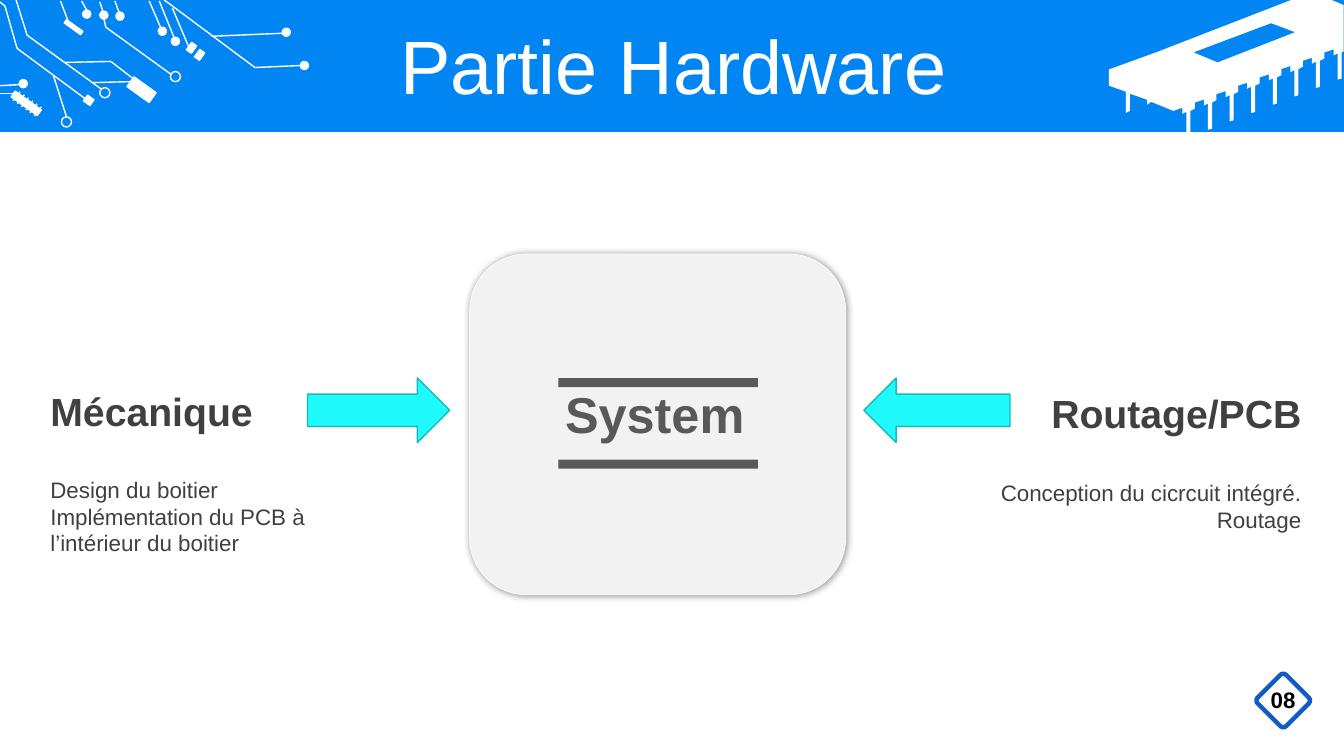
from dataclasses import dataclass

import pptx
import pptx.dml.color
import pptx.enum.shapes
import pptx.enum.text
import pptx.oxml
import pptx.oxml.ns
import pptx.util
from lxml import etree

Shape = pptx.enum.shapes.MSO_SHAPE
Align = pptx.enum.text.PP_ALIGN
Anchor = pptx.enum.text.MSO_ANCHOR
Point = tuple[float, float]

# Square grid: ten columns or rows to the inch
CELL = pptx.util.Inches(0.1)
COLUMNS, ROWS = 133.33, 75
CIRCUIT_TILT = 35.7


@dataclass(frozen=True)
class Theme:
    font: str = "Arial"
    white: str = "FFFFFF"
    banner: str = "0085F2"
    panel: str = "F2F2F2"
    system: str = "595959"
    body: str = "404040"
    arrow: str = "1FFBFD"
    arrow_edge: str = "17BABB"
    badge: str = "125AC4"
    number: str = "000000"
    title_size: int = 54
    system_size: int = 36
    heading_size: int = 28
    text_size: int = 16


THEME = Theme()


@dataclass(frozen=True)
class Box:
    """Left, top, width and height in grid cells."""
    left: float
    top: float
    width: float
    height: float

    def emu(self) -> list[int]:
        return [round(n * CELL) for n in (self.left, self.top, self.width, self.height)]


@dataclass(frozen=True)
class Style:
    size: int
    color: str
    bold: bool = False
    align: Align = Align.CENTER
    anchor: Anchor = Anchor.TOP
    leading: float = 1.0


@dataclass(frozen=True)
class Part:
    """One topic beside the system: heading, list and arrow."""
    heading: str
    heading_box: Box
    details: str
    details_box: Box
    align: Align
    arrow: Shape
    arrow_box: Box


def rgb(color: str) -> pptx.dml.color.RGBColor:
    return pptx.dml.color.RGBColor.from_string(color)


def paint(shape, fill: str | None, edge: str | None = None, width: float = 1) -> None:
    shape.shadow.inherit = False
    if fill:
        shape.fill.solid()
        shape.fill.fore_color.rgb = rgb(fill)
    else:
        shape.fill.background()
    if edge:
        shape.line.color.rgb = rgb(edge)
        shape.line.width = pptx.util.Pt(width)
    else:
        shape.line.fill.background()


def add_block(slide, kind: Shape, box: Box, fill: str | None, edge: str | None = None,
              width: float = 1, tilt: float = 0):
    block = slide.shapes.add_shape(kind, *box.emu())
    paint(block, fill, edge, width)
    block.rotation = tilt
    return block


def add_outline(slide, contours: list[list[Point]], fill: str | None,
                edge: str | None = None) -> None:
    scaled = [[(round(x * CELL), round(y * CELL)) for x, y in c] for c in contours]
    builder = slide.shapes.build_freeform(*scaled[0][0], scale=1.0)
    for index, contour in enumerate(scaled):
        if index:
            builder.move_to(*contour[0])
        builder.add_line_segments(contour[1:], close=fill is not None)
    paint(builder.convert_to_shape(), fill, edge)


def add_trace(slide, points: list[Point]) -> None:
    if len(points) > 2:
        add_outline(slide, [points], None, THEME.white)
        return
    ends = [round(n * CELL) for point in points for n in point]
    trace = slide.shapes.add_connector(pptx.enum.shapes.MSO_CONNECTOR.STRAIGHT, *ends)
    trace.line.color.rgb = rgb(THEME.white)
    trace.line.width = pptx.util.Pt(1)
    etree.SubElement(trace.element.spPr, pptx.oxml.ns.qn("a:effectLst"))


def write(holder, text: str, box: Box, style: Style) -> None:
    holder.left, holder.top, holder.width, holder.height = box.emu()
    frame = holder.text_frame
    frame.text = text
    frame.word_wrap = True
    frame.auto_size = pptx.enum.text.MSO_AUTO_SIZE.NONE
    frame.vertical_anchor = style.anchor
    for paragraph in frame.paragraphs:
        properties = paragraph._p.get_or_add_pPr()
        properties.set("marL", "0")
        properties.set("indent", "0")
        etree.SubElement(properties, pptx.oxml.ns.qn("a:buNone"))
        paragraph.alignment = style.align
        paragraph.line_spacing = style.leading
        paragraph.space_before = pptx.util.Pt(0)
        for run in paragraph.runs:
            run.font.name = THEME.font
            run.font.size = pptx.util.Pt(style.size)
            run.font.bold = style.bold
            run.font.color.rgb = rgb(style.color)


def add_label(slide, text: str, box: Box, style: Style) -> None:
    write(slide.shapes.add_textbox(*box.emu()), text, box, style)


def draw_chip(slide) -> None:
    pin = [(0, 0), (0, 2.6), (-0.4, 2.7), (-0.4, 0.1),
           (-0.8, 0.3), (-0.8, -0.3), (-1.7, 0), (-1.7, 0.6)]
    pins = [(133.1 - 15 * k / 7 + x, 5.2 + 5.8 * k / 7 + y)
            for k in range(8) for x, y in pin][:-1]
    body = [(128.1, 0), (132.1, 0), (133.3, 0.5), (133.3, 5.1), *pins,
            (114.2, 10.1), (113.8, 10.4), (113.8, 9.9), (112.1, 9.3), (112.1, 11),
            (111.7, 11.2), (111.7, 9.1), (110, 8.5), (110, 6.9), (114.7, 5.2)]
    window = [(126.1, 2.3), (118.4, 5.2), (120.8, 6.2), (128.5, 3.2)]
    add_outline(slide, [window, body], THEME.white)


def draw_circuit(slide) -> None:
    components = [Box(12.7, 8.3, 2.7, 1.2), Box(6.3, 2.5, 2, 0.4), Box(8.4, 9.6, 0.8, 0.7),
                  Box(18.7, 4.3, 0.6, 0.9), Box(19.5, 5, 0.6, 0.9), Box(1, 9.9, 3.2, 0.7)]
    pads = [(29.8, 6.1), (28, 2.8), (8.2, 1), (9.9, 1.1), (11.5, 1.2),
            (1.9, 7.9), (17, 3.7), (15.7, 2.7)]
    rings = [(16.9, 7.1), (9.9, 8.7), (6.1, 11.6)]
    traces = [
        [(16.3, 0), (25.3, 6.7), (29.9, 6.5)], [(6, 0.1), (6.8, 2.2)],
        [(8.1, 0.1), (8.6, 1)], [(9.9, 0.2), (10.2, 1.1)], [(11.4, 0.1), (11.8, 1.2)],
        [(14.8, 0.1), (16.1, 3.1)], [(15.8, 0.1), (17.3, 3.8)], [(21, 3.6), (28, 3.3)],
        [(17.1, 0.8), (18.7, 4.6)], [(0, 8.5), (1.9, 8.4)], [(0, 9.3), (1.4, 9.3)],
        [(5.3, 7.5), (6.6, 11.6)], [(9.2, 8.2), (13, 8.1)],
        [(1.6, 0), (2.7, 3.5), (10, 8.8)], [(0, 0.2), (0.5, 0.6), (1.7, 4.8), (8.6, 9.9)],
        [(6.4, 6.2), (11, 6.1), (13.2, 7.8)], [(10.3, 1.8), (10.5, 2.7), (17, 7.4)]]
    comb = [[(1.3 + 0.42 * k, 10 + 0.3 * k), (2 + 0.42 * k, 9.1 + 0.3 * k)] for k in range(6)]
    for box in components:
        add_block(slide, Shape.RECTANGLE, box, THEME.white, THEME.white, tilt=CIRCUIT_TILT)
    for x, y in pads:
        add_block(slide, Shape.OVAL, Box(x, y, 0.8, 0.8), THEME.white, THEME.white)
    for x, y in rings:
        add_block(slide, Shape.OVAL, Box(x, y, 1, 1), None, THEME.white)
    for points in traces + comb:
        add_trace(slide, points)


def draw_system(slide) -> None:
    panel = add_block(slide, Shape.ROUNDED_RECTANGLE, Box(46.6, 25.2, 37.3, 33.8),
                      THEME.panel, THEME.white, 0.5)
    glow = pptx.oxml.parse_xml(
        f'<a:effectLst {pptx.oxml.ns.nsdecls("a")}><a:outerShdw blurRad="63500" dist="0" '
        'algn="ctr" rotWithShape="0"><a:srgbClr val="000000"><a:alpha val="40000"/>'
        '</a:srgbClr></a:outerShdw></a:effectLst>')
    flat = panel.element.spPr.find(pptx.oxml.ns.qn("a:effectLst"))
    panel.element.spPr.replace(flat, glow)
    add_label(slide, "System", Box(52.2, 37.5, 25.5, 8),
              Style(THEME.system_size, THEME.system, bold=True))
    for top in (37.5, 45.6):
        add_block(slide, Shape.RECTANGLE, Box(55.4, top, 19.8, 0.9), THEME.system)


def main() -> None:
    deck = pptx.Presentation()
    deck.slide_width, deck.slide_height = round(COLUMNS * CELL), round(ROWS * CELL)
    comparison = deck.slide_layouts[4]
    slide = deck.slides.add_slide(comparison)

    # Banner
    add_block(slide, Shape.RECTANGLE, Box(0, 0, COLUMNS, 13.1), THEME.banner)
    draw_chip(slide)
    draw_circuit(slide)
    title = slide.shapes.title
    write(title, "Partie Hardware", Box(3.5, 3, 126.6, 7.9),
          Style(THEME.title_size, THEME.white, anchor=Anchor.MIDDLE, leading=0.9))
    title.element.getparent().append(title.element)

    # System and its two parts
    draw_system(slide)
    parts = [
        Part("Mécanique", Box(4, 37.9, 30.1, 5.7),
             "Design du boitier\nImplémentation du PCB à l’intérieur du boitier",
             Box(4, 46.7, 36.1, 9.1), Align.LEFT,
             Shape.RIGHT_ARROW, Box(30.5, 37.5, 14.1, 6.4)),
        Part("Routage/PCB", Box(100.2, 38.1, 29.9, 5.7),
             "Conception du cicrcuit intégré.\nRoutage",
             Box(96.3, 47, 33.8, 6.4), Align.RIGHT,
             Shape.LEFT_ARROW, Box(85.7, 37.5, 14.5, 6.4)),
    ]
    for index, part in enumerate(parts):
        write(slide.placeholders[2 * index + 1], part.heading, part.heading_box,
              Style(THEME.heading_size, THEME.body, bold=True, align=part.align))
        write(slide.placeholders[2 * index + 2], part.details, part.details_box,
              Style(THEME.text_size, THEME.body, align=part.align))
        add_block(slide, part.arrow, part.arrow_box, THEME.arrow, THEME.arrow_edge)

    # Slide number in its diamond
    add_label(slide, "08", Box(124.5, 67.6, 5.6, 3.7),
              Style(THEME.text_size, THEME.number, bold=True))
    diamond = add_block(slide, Shape.ROUNDED_RECTANGLE, Box(125.3, 67.5, 4, 4),
                        None, THEME.badge, 3.2, tilt=45)
    diamond.adjustments[0] = 0.1

    deck.save("out.pptx")


if __name__ == "__main__":
    main()
